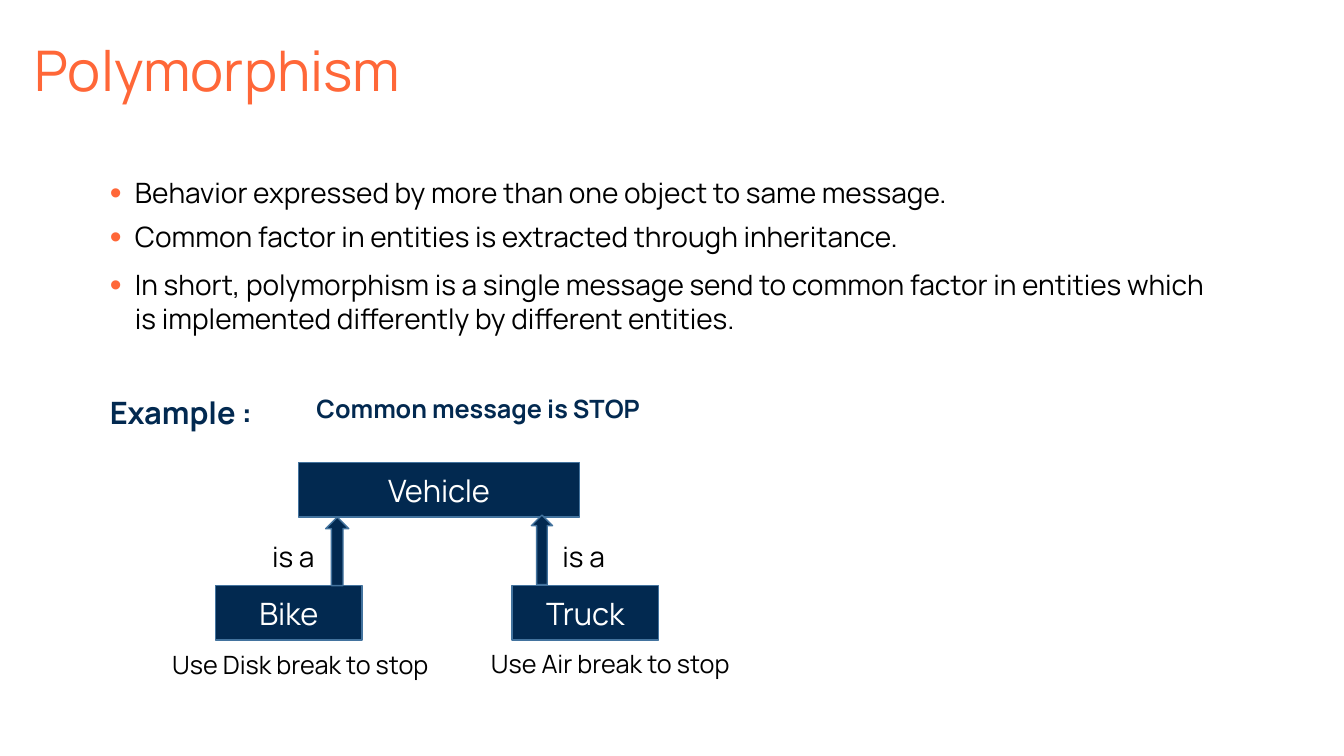
from pptx import Presentation, util as u
from pptx.dml.color import RGBColor
from pptx.enum import shapes, text
from pptx.oxml import parse_xml
from pptx.oxml.ns import nsdecls

PX = 9144  # EMU per px, 100 px to the inch
FONT = "Manrope"
ORANGE = RGBColor(0xFF, 0x67, 0x38)
NAVY = RGBColor(0x02, 0x29, 0x50)
STEEL = RGBColor(0x43, 0x73, 0x9E)
BLACK = RGBColor(0, 0, 0)
WHITE = RGBColor(0xFF, 0xFF, 0xFF)

BULLETS = [
    "Behavior expressed by more than one object to same message.",
    "Common factor in entities is extracted through inheritance.",
    "In short, polymorphism is a single message send to common factor in "
    "entities which is implemented differently by different entities.",
]


def scaled(*lengths):
    return [u.Emu(length * PX) for length in lengths]


def set_all(target, values):
    for name, value in values.items():
        setattr(target, name, value)


def write(paragraph, words, size, color, bold=False, **layout):
    run = paragraph.add_run()
    run.text = words
    set_all(run.font, {"name": FONT, "size": u.Pt(size), "bold": bold})
    run.font.color.rgb = color
    set_all(paragraph, layout)


def add_bullet(paragraph):
    properties = paragraph._p.get_or_add_pPr()
    properties.set("marL", str(25 * PX))
    properties.set("indent", str(-25 * PX))
    for element in (
        f'<a:buClr {nsdecls("a")}><a:srgbClr val="{ORANGE}"/></a:buClr>',
        f'<a:buSzPct {nsdecls("a")} val="120000"/>',
        f'<a:buFont {nsdecls("a")} typeface="Arial"/>',
        f'<a:buChar {nsdecls("a")} char="•"/>',
    ):
        properties.append(parse_xml(element))


def add_title(slide, words):
    title = slide.shapes.title
    set_all(title, dict(zip(("left", "top", "width", "height"),
                            scaled(24, 0, 1150, 145))))
    title.text_frame.vertical_anchor = text.MSO_ANCHOR.MIDDLE
    write(title.text_frame.paragraphs[0], words, 40, ORANGE,
          alignment=text.PP_ALIGN.LEFT, line_spacing=0.9)


def add_body(slide):
    frame = slide.shapes.add_textbox(*scaled(99, 173, 1108, 470)).text_frame
    frame.word_wrap = True
    for index, words in enumerate(BULLETS):
        paragraph = frame.add_paragraph() if index else frame.paragraphs[0]
        spacing = 1.0 if index == len(BULLETS) - 1 else 0.9
        write(paragraph, words, 20, BLACK,
              line_spacing=spacing, space_before=u.Pt(10))
        add_bullet(paragraph)
    write(frame.add_paragraph(), "Example :", 22, NAVY, bold=True,
          line_spacing=0.9, space_before=u.Pt(45))


def add_label(slide, box, words, size, color=BLACK, bold=False, wrap=True):
    frame = slide.shapes.add_textbox(*scaled(*box)).text_frame
    frame.word_wrap = wrap
    write(frame.paragraphs[0], words, size, color, bold)


def add_navy_shape(slide, kind, box):
    shape = slide.shapes.add_shape(kind, *scaled(*box))
    shape.shadow.inherit = False
    shape.fill.solid()
    shape.fill.fore_color.rgb = NAVY
    shape.line.color.rgb = STEEL
    shape.line.width = u.Pt(1)
    return shape


def add_class_box(slide, left, top, width, name):
    shape = add_navy_shape(slide, shapes.MSO_SHAPE.RECTANGLE,
                           (left, top, width, 54))
    shape.text_frame.vertical_anchor = text.MSO_ANCHOR.MIDDLE
    write(shape.text_frame.paragraphs[0], name, 22, WHITE,
          alignment=text.PP_ALIGN.CENTER)


def main():
    presentation = Presentation()
    presentation.slide_width, presentation.slide_height = scaled(1333, 750)
    slide = presentation.slides.add_slide(presentation.slide_layouts[5])

    # Title, bullets and example heading
    add_title(slide, "Polymorphism")
    add_body(slide)
    add_label(slide, (304, 385, 408, 40), "Common message is STOP", 18,
              NAVY, bold=True)

    # Class hierarchy
    add_class_box(slide, 296, 459, 279, "Vehicle")
    add_class_box(slide, 214, 581, 145, "Bike")
    add_class_box(slide, 508, 581, 145, "Truck")
    for arrow in ((323, 513, 23, 68), (527, 511, 21, 69)):
        add_navy_shape(slide, shapes.MSO_SHAPE.UP_ARROW, arrow)

    # Captions
    add_label(slide, (161, 639, 274, 40), "Use Disk break to stop", 18,
              wrap=False)
    add_label(slide, (477, 638, 292, 40), "Use Air break to stop", 18)
    for left in (260, 548):
        add_label(slide, (left, 530, 99, 44), "is a", 20)

    presentation.save("out.pptx")


if __name__ == "__main__":
    main()
